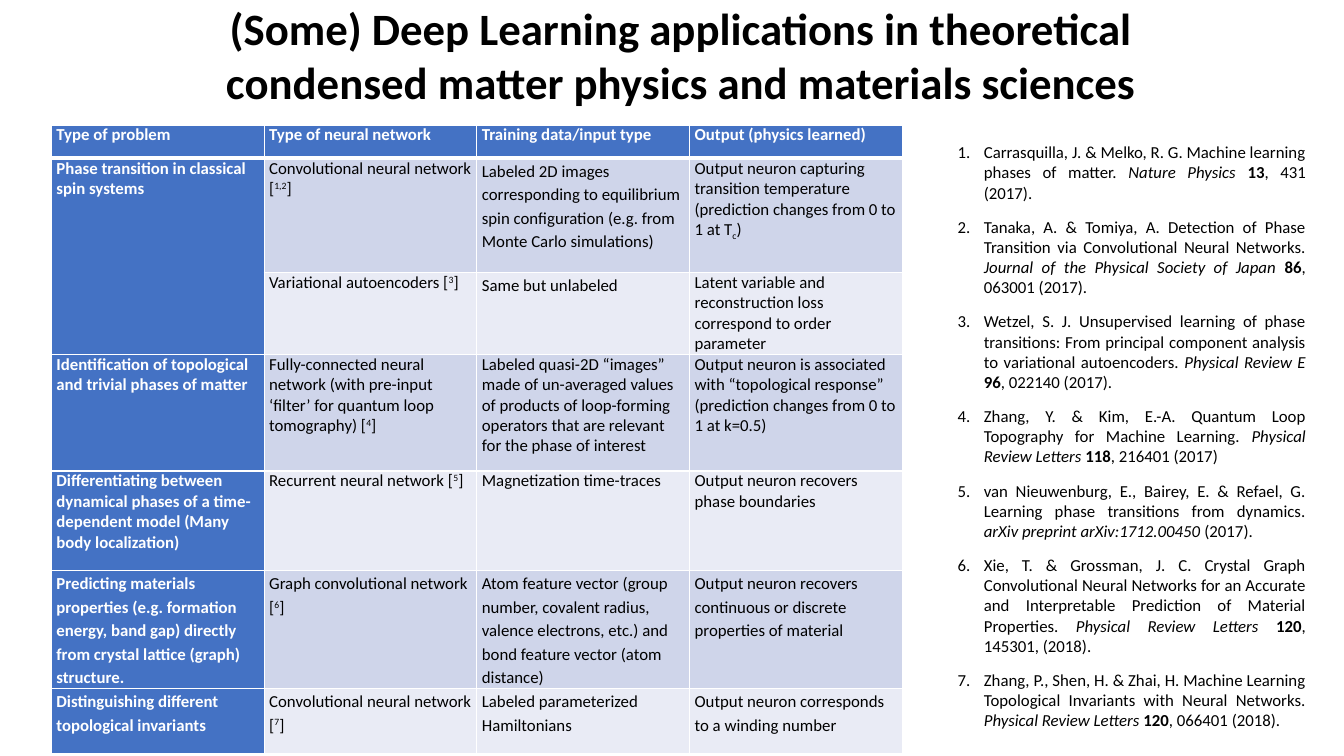
from dataclasses import dataclass

from lxml import etree
from pptx import Presentation
from pptx import util as u
from pptx.dml.color import RGBColor
from pptx.enum import text
from pptx.oxml.ns import qn

TITLE = ("(Some) Deep Learning applications in theoretical "
         "condensed matter physics and materials sciences")

HEADINGS = ["Type of problem", "Type of neural network",
            "Training data/input type", "Output (physics learned)"]

# A cell is a string, or a tuple (before, raised or lowered part, after).
APPLICATIONS = [
    ["Phase transition in classical spin systems",
     ("Convolutional neural network [", "1,2", "]"),
     "Labeled 2D images corresponding to equilibrium spin configuration "
     "(e.g. from Monte Carlo simulations)",
     ("Output neuron capturing transition temperature "
      "(prediction changes from 0 to 1 at T", "c", ")")],
    ["",
     ("Variational autoencoders [", "3", "]"),
     "Same but unlabeled",
     "Latent variable and reconstruction loss correspond to order parameter"],
    ["Identification of topological and trivial phases of matter",
     ("Fully-connected neural network (with pre-input ‘filter’ for quantum "
      "loop tomography) [", "4", "]"),
     "Labeled quasi-2D “images” made of un-averaged values of products of "
     "loop-forming operators that are relevant for the phase of interest",
     "Output neuron is associated with “topological response” "
     "(prediction changes from 0 to 1 at k=0.5)"],
    ["Differentiating between dynamical phases of a time-dependent model "
     "(Many body localization)",
     ("Recurrent neural network [", "5", "]"),
     "Magnetization time-traces",
     "Output neuron recovers phase boundaries"],
    ["Predicting materials properties (e.g. formation energy, band gap) "
     "directly from crystal lattice (graph) structure.",
     ("Graph convolutional network [", "6", "]"),
     "Atom feature vector (group number, covalent radius, valence electrons, "
     "etc.) and bond feature vector (atom distance)",
     "Output neuron recovers continuous or discrete properties of material"],
    ["Distinguishing different topological invariants",
     ("Convolutional neural network [", "7", "]"),
     "Labeled parameterized Hamiltonians",
     "Output neuron corresponds to a winding number"],
]
LOOSE_CELLS = {(1, 2), (2, 2)} | {(row, col) for row in (5, 6) for col in range(4)}
UNSPACED_CELLS = {(row, col) for row in (1, 2) for col in (1, 2, 3)} | {(3, 3)}

# Authors and title, journal, volume, rest
REFERENCES = [
    ("Carrasquilla, J. & Melko, R. G. Machine learning phases of matter. ",
     "Nature Physics ", "13", ", 431 (2017)."),
    ("Tanaka, A. & Tomiya, A. Detection of Phase Transition via Convolutional "
     "Neural Networks. ",
     "Journal of the Physical Society of Japan ", "86", ", 063001 (2017)."),
    ("Wetzel, S. J. Unsupervised learning of phase transitions: From principal "
     "component analysis to variational autoencoders. ",
     "Physical Review E ", "96", ", 022140 (2017)."),
    ("Zhang, Y. & Kim, E.-A. Quantum Loop Topography for Machine Learning. ",
     "Physical Review Letters ", "118", ", 216401 (2017)"),
    ("van Nieuwenburg, E., Bairey, E. & Refael, G. Learning phase transitions "
     "from dynamics. ",
     "arXiv preprint arXiv:1712.00450", "", " (2017)."),
    ("Xie, T. & Grossman, J. C. Crystal Graph Convolutional Neural Networks for "
     "an Accurate and Interpretable Prediction of Material Properties. ",
     "Physical Review Letters ", "120", ", 145301, (2018)."),
    ("Zhang, P., Shen, H. & Zhai, H. Machine Learning Topological Invariants "
     "with Neural Networks. ",
     "Physical Review Letters ", "120", ", 066401 (2018)."),
]

PX = 9144  # EMU, 100 px to the inch
SLIDE = (1333, 750)
TITLE_BOX = (157, -4, 1037, 118)
REFERENCE_BOX = (940, 136, 365, 599)
TABLE_BOX = (51, 124, 844, 616)
ROW_HEIGHTS = [33, 113, 77, 116, 99, 113, 65]
CELL_INSET = 5
NUMBER_INDENT = 26


@dataclass(frozen=True)
class Theme:
    font: str = "Calibri"
    title_size: int = 32
    body_size: int = 12
    space_after: int = 10
    loose_spacing: float = 1.15
    ink: str = "000000"
    paper: str = "FFFFFF"
    heading: str = "4472C4"
    bands: tuple = ("E9EBF5", "CFD5EA")


THEME = Theme()


def px(*lengths):
    return [u.Emu(length * PX) for length in lengths]


def style(run, size, color, bold=False):
    run.font.name = THEME.font
    run.font.size = u.Pt(size)
    run.font.bold = bold
    run.font.color.rgb = RGBColor.from_string(color)


def add_box(slide, box):
    frame = slide.shapes.add_textbox(*px(*box)).text_frame
    frame.word_wrap = True
    frame.auto_size = text.MSO_AUTO_SIZE.SHAPE_TO_FIT_TEXT
    return frame


def add_title(slide):
    frame = add_box(slide, TITLE_BOX)
    frame.text = TITLE
    heading = frame.paragraphs[0]
    heading.alignment = text.PP_ALIGN.CENTER
    style(heading.runs[0], THEME.title_size, THEME.ink, bold=True)


def add_borders(cell, row):
    """Rule all four sides, with a thick line under the heading row."""
    widths = {"lnL": 1, "lnR": 1, "lnT": 3 if row == 1 else 1, "lnB": 3 if row == 0 else 1}
    properties = cell._tc.get_or_add_tcPr()
    for side, width in widths.items():
        line = etree.SubElement(properties, qn(f"a:{side}"), w=str(u.Pt(width)))
        fill = etree.SubElement(line, qn("a:solidFill"))
        etree.SubElement(fill, qn("a:srgbClr"), val=THEME.paper)


def fill_cell(cell, content, row, col):
    is_heading = row == 0 or col == 0
    add_borders(cell, row)
    cell.fill.solid()
    cell.fill.fore_color.rgb = RGBColor.from_string(
        THEME.heading if is_heading else THEME.bands[row % 2])
    cell.margin_left = cell.margin_right = px(CELL_INSET)[0]
    cell.margin_top = cell.margin_bottom = 0

    entry = cell.text_frame.paragraphs[0]
    if (row, col) in LOOSE_CELLS:
        entry.line_spacing = THEME.loose_spacing
    if (row, col) not in UNSPACED_CELLS:
        entry.space_after = u.Pt(THEME.space_after)
    parts = (content,) if isinstance(content, str) else content
    for index, part in enumerate(parts):
        run = entry.add_run()
        run.text = part
        style(run, THEME.body_size, THEME.paper if is_heading else THEME.ink, is_heading)
        if index == 1:
            baseline = "-25000" if part == "c" else "30000"
            run._r.get_or_add_rPr().set("baseline", baseline)


def add_applications(slide):
    rows = [HEADINGS] + APPLICATIONS
    table = slide.shapes.add_table(len(rows), len(HEADINGS), *px(*TABLE_BOX)).table
    table.first_col = True
    for column in table.columns:
        column.width = px(TABLE_BOX[2] // len(HEADINGS))[0]
    for row, (contents, height) in enumerate(zip(rows, ROW_HEIGHTS)):
        table.rows[row].height = px(height)[0]
        for col, content in enumerate(contents):
            fill_cell(table.cell(row, col), content, row, col)
    table.cell(1, 0).merge(table.cell(2, 0))


def add_references(slide):
    frame = add_box(slide, REFERENCE_BOX)
    indent = NUMBER_INDENT * PX
    for index, parts in enumerate(REFERENCES):
        citation = frame.add_paragraph() if index else frame.paragraphs[0]
        properties = citation._p.get_or_add_pPr()
        properties.set("marL", str(indent))
        properties.set("indent", str(-indent))
        etree.SubElement(properties, qn("a:buFont"), typeface="+mj-lt")
        etree.SubElement(properties, qn("a:buAutoNum"), type="arabicPeriod")
        citation.alignment = text.PP_ALIGN.JUSTIFY
        citation.space_after = u.Pt(THEME.space_after)
        for role, part in zip(("work", "journal", "volume", "rest"), parts):
            if part:
                run = citation.add_run()
                run.text = part
                style(run, THEME.body_size, THEME.ink, bold=role == "volume")
                run.font.italic = role == "journal"


def main():
    deck = Presentation()
    deck.slide_width, deck.slide_height = px(*SLIDE)
    slide = deck.slides.add_slide(deck.slide_layouts[6])
    add_applications(slide)
    add_references(slide)
    add_title(slide)
    deck.save("out.pptx")


if __name__ == "__main__":
    main()
